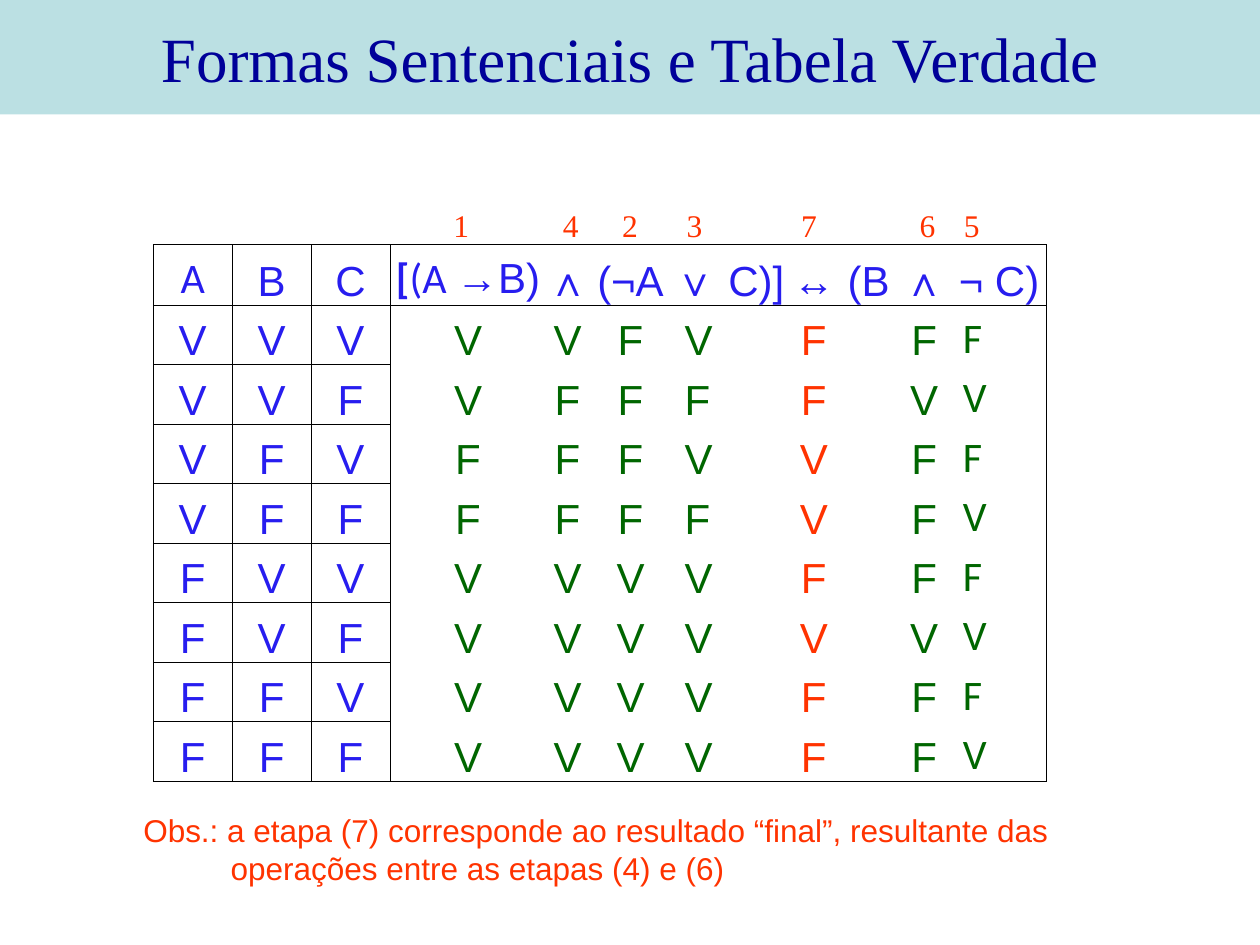
from itertools import product

from lxml import etree
from pptx import Presentation
from pptx.dml.color import RGBColor
from pptx.enum import shapes, text
from pptx.oxml import ns
from pptx.util import Cm, Pt

COLORS = {
    "band": "BBE0E3",
    "title": "000099",
    "variable": "271DEF",
    "step": "006600",
    "result": "FF3300",
    "border": "000000",
}
COLUMN_WIDTHS = [1.59, 1.59, 1.59, 3.15, 0.86, 1.68, 2.31, 1.09, 1.12, 1.12, 1.9]
HEADER_HEIGHT, ROW_HEIGHT = 1.22, 1.2
HEADER = ["A", "B", "C", "[(A →Β)", "∧", "(¬Α", "∨ C)]", "↔", "(B", "∧", "¬ C)"]
VARIABLES = 3
OR_COLUMN, RESULT_COLUMN, LAST_COLUMN = 6, 7, 10
# Left edge of each step number, in the order of the formula
STEP_LEFTS = {"1": 8.89, "4": 11.1, "2": 12.29, "3": 13.59, "7": 15.9, "6": 18.29, "5": 19.18}
NOTE = ["Obs.: a etapa (7) corresponde ao resultado “final”, resultante das",
        "operações entre as etapas (4) e (6)"]


def style(font, size, color, name="Arial"):
    font.size = Pt(size)
    font.name = name
    font.color.rgb = RGBColor.from_string(COLORS[color])


def truth_rows():
    """Evaluate the formula for every A, B, C; None marks an empty cell."""
    for a, b, c in product([True, False], repeat=VARIABLES):
        implies, not_a, not_c = not a or b, not a, not c
        either = not_a or c
        left, right = implies and either, b and not_c
        values = [a, b, c, implies, left, not_a, either, left == right, None, right, not_c]
        yield ["" if value is None else "V" if value else "F" for value in values]


def add_title(slide, width):
    shape = slide.shapes.add_shape(shapes.MSO_SHAPE.RECTANGLE, 0, 0, width, Cm(2.31))
    shape.shadow.inherit = False
    shape.fill.solid()
    shape.fill.fore_color.rgb = RGBColor.from_string(COLORS["band"])
    shape.line.fill.background()
    shape.text_frame.text = "Formas Sentenciais e Tabela Verdade"
    shape.text_frame.vertical_anchor = text.MSO_ANCHOR.MIDDLE
    paragraph = shape.text_frame.paragraphs[0]
    paragraph.alignment = text.PP_ALIGN.CENTER
    style(paragraph.runs[0].font, 36, "title", "Times New Roman")


def set_borders(cell, sides):
    """Draw the named sides (L, R, T, B) and switch the others off."""
    properties = cell._tc.get_or_add_tcPr()
    for index, side in enumerate("LRTB"):
        line = etree.Element(ns.qn(f"a:ln{side}"), w=str(Pt(0.5)))
        if side in sides:
            fill = etree.SubElement(line, ns.qn("a:solidFill"))
            etree.SubElement(fill, ns.qn("a:srgbClr"), val=COLORS["border"])
        else:
            etree.SubElement(line, ns.qn("a:noFill"))
        properties.insert(index, line)


def border_sides(row, column, last_row):
    if column < VARIABLES:
        return "LRTB"
    rules = {
        "L": column == VARIABLES,
        "R": column == LAST_COLUMN,
        "T": row <= 1,
        "B": row in (0, last_row),
    }
    return "".join(side for side, drawn in rules.items() if drawn)


def fill_cell(cell, content, row, column):
    cell.fill.background()
    cell.vertical_anchor = text.MSO_ANCHOR.BOTTOM
    cell.margin_left = cell.margin_right = cell.margin_top = Cm(0.03)
    cell.margin_bottom = 0
    cell.text_frame.text = content
    paragraph = cell.text_frame.paragraphs[0]
    paragraph.alignment = text.PP_ALIGN.CENTER
    color, name = "step", "Arial"
    if row == 0 or column < VARIABLES:
        color = "variable"
    elif column == RESULT_COLUMN:
        color = "result"
    if row and column in (OR_COLUMN, LAST_COLUMN):
        paragraph.alignment = text.PP_ALIGN.LEFT
        cell.margin_left = Cm(0.25 if column == OR_COLUMN else 0.22)
    if (row and column == LAST_COLUMN) or (row == 0 and column == 0):
        name = "Calibri"
    style(paragraph.font, 24, color, name)
    for run in paragraph.runs:
        style(run.font, 24, color, name)


def format_implication(cell):
    """Give the bracket, the A and the rest of the heading their own fonts."""
    paragraph = cell.text_frame.paragraphs[0]
    paragraph.runs[0].text = "["
    for content in ("(A ", "→Β)"):
        paragraph.add_run().text = content
    for run, name in zip(paragraph.runs, ("Calibri", "Calibri", "Arial")):
        style(run.font, 24, "variable", name)
    paragraph.runs[0].font.bold = True


def add_truth_table(slide):
    rows = [HEADER, *truth_rows()]
    height = HEADER_HEIGHT + ROW_HEIGHT * (len(rows) - 1)
    table = slide.shapes.add_table(len(rows), len(HEADER), Cm(3.09), Cm(4.93),
                                   Cm(sum(COLUMN_WIDTHS)), Cm(height)).table
    table.first_row = table.horz_banding = False
    for column, width in zip(table.columns, COLUMN_WIDTHS):
        column.width = Cm(width)
    for row, values in enumerate(rows):
        table.rows[row].height = Cm(ROW_HEIGHT if row else HEADER_HEIGHT)
        for column, content in enumerate(values):
            cell = table.cell(row, column)
            fill_cell(cell, content, row, column)
            set_borders(cell, border_sides(row, column, len(rows) - 1))
    format_implication(table.cell(0, VARIABLES))


def add_text(slide, lines, left, top, width, height, name):
    frame = slide.shapes.add_textbox(Cm(left), Cm(top), Cm(width), Cm(height)).text_frame
    frame.word_wrap = False
    frame.text = "\n".join(lines)
    for paragraph in frame.paragraphs:
        style(paragraph.runs[0].font, 18, "result", name)
    return frame


def main():
    presentation = Presentation()
    presentation.slide_width, presentation.slide_height = Cm(25.4), Cm(19.05)
    slide = presentation.slides.add_slide(presentation.slide_layouts[6])

    add_title(slide, presentation.slide_width)
    add_truth_table(slide)

    # Step numbers above the operators
    for number, left in STEP_LEFTS.items():
        frame = add_text(slide, [number], left, 3.53, 1.12, 1.63, "Times New Roman")
        frame.vertical_anchor = text.MSO_ANCHOR.BOTTOM
        frame.margin_bottom = Cm(0.24)

    # Note, with its second line indented
    note = add_text(slide, NOTE, 2.64, 16.23, 18.92, 1.8, "Arial")
    note.paragraphs[1]._p.get_or_add_pPr().set("marL", str(Cm(1.76)))

    presentation.save("out.pptx")


if __name__ == "__main__":
    main()
